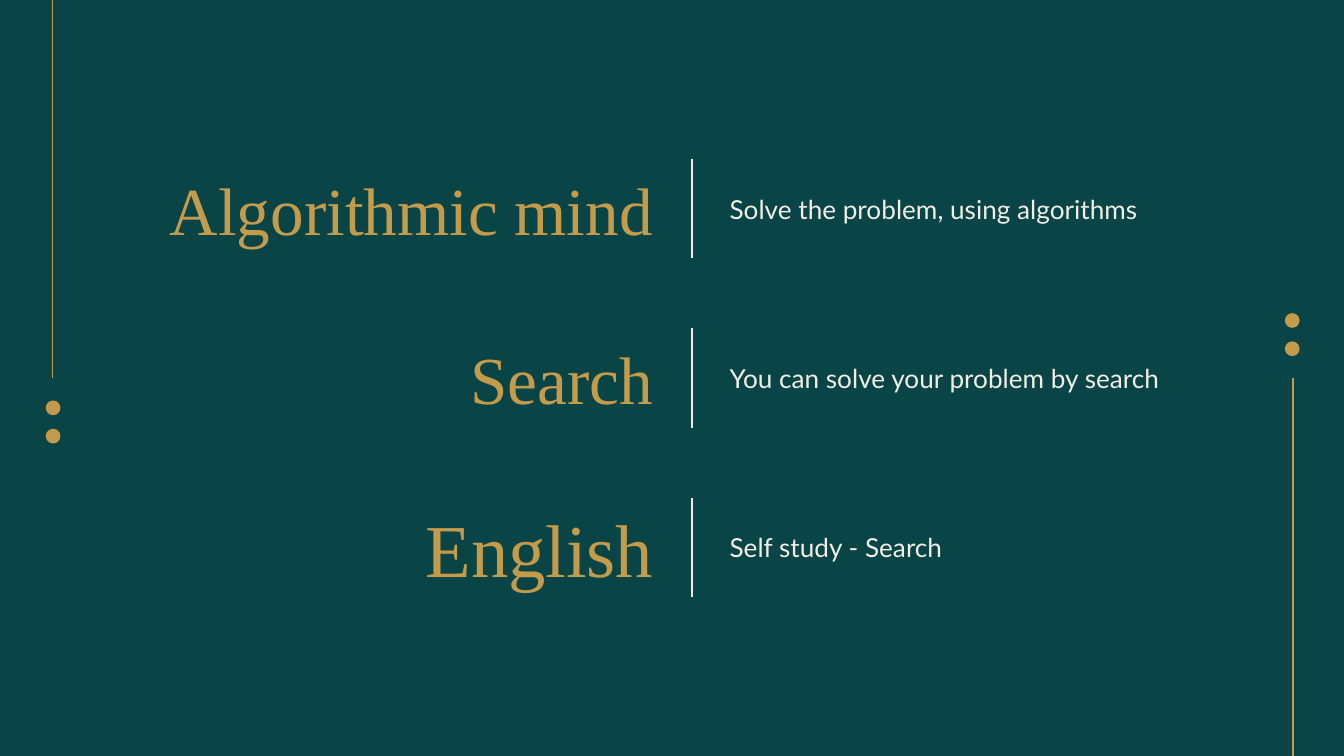
from dataclasses import dataclass

import pptx
import pptx.dml.color
import pptx.enum.shapes
import pptx.enum.text
import pptx.oxml.ns
import pptx.util
from lxml import etree

Inches = pptx.util.Inches
Align = pptx.enum.text.PP_ALIGN


@dataclass(frozen=True)
class Theme:
    background: str = "094446"
    gold: str = "C49B4B"
    cream: str = "F2EEE5"
    heading_font: str = "Times New Roman"
    body_font: str = "Lato"
    heading_size: int = 36
    large_heading_size: int = 40
    body_size: int = 14
    line_width: float = 0.75


THEME = Theme()
SLIDE_WIDTH = 10
SLIDE_HEIGHT = SLIDE_WIDTH * 9 / 16
MIDDLE = SLIDE_HEIGHT / 2
ROW_PITCH = 1.26
HEADING_RIGHT, HEADING_HEIGHT = 4.96, 0.84
DIVIDER_X, DIVIDER_HEIGHT = 5.15, 0.74
BODY_LEFT, BODY_WIDTH, BODY_HEIGHT = 5.33, 3.82, 0.43
DOT_SIZE, DOT_PITCH = 0.11, 0.21

ROWS = [
    ("Algorithmic mind", 4.97, THEME.heading_size, "Solve the problem, using algorithms"),
    ("Search", 3.82, THEME.heading_size, "You can solve your problem by search"),
    ("English", 3.82, THEME.large_heading_size, "Self study - Search"),
]


def rgb(color):
    return pptx.dml.color.RGBColor.from_string(color)


def add_line(slide, x, top, bottom, color):
    line = slide.shapes.add_connector(
        pptx.enum.shapes.MSO_CONNECTOR.STRAIGHT,
        Inches(x), Inches(top), Inches(x), Inches(bottom))
    line.line.color.rgb = rgb(color)
    line.line.width = pptx.util.Pt(THEME.line_width)
    properties = line._element.spPr
    etree.SubElement(properties, pptx.oxml.ns.qn("a:effectLst"))


def add_dot_pair(slide, left, top):
    for index in range(2):
        dot = slide.shapes.add_shape(
            pptx.enum.shapes.MSO_SHAPE.OVAL, Inches(left),
            Inches(top + index * DOT_PITCH), Inches(DOT_SIZE), Inches(DOT_SIZE))
        dot.shadow.inherit = False
        dot.fill.solid()
        dot.fill.fore_color.rgb = rgb(THEME.gold)
        dot.line.fill.background()


def add_text_box(slide):
    return slide.shapes.add_textbox(0, 0, 0, 0)


def write_text(shape, text, left, center, width, height, font, size, color, alignment):
    shape.left, shape.top = Inches(left), Inches(center - height / 2)
    shape.width, shape.height = Inches(width), Inches(height)
    frame = shape.text_frame
    frame.word_wrap = True
    frame.auto_size = pptx.enum.text.MSO_AUTO_SIZE.NONE
    frame.vertical_anchor = pptx.enum.text.MSO_ANCHOR.MIDDLE
    frame.margin_left = frame.margin_right = Inches(0.1)
    frame.margin_top = frame.margin_bottom = Inches(0.1)
    paragraph = frame.paragraphs[0]
    paragraph.alignment = alignment
    run = paragraph.add_run()
    run.text = text
    run.font.name = font
    run.font.size = pptx.util.Pt(size)
    run.font.color.rgb = rgb(color)


def add_row(slide, heading_shape, center, heading, heading_width, heading_size, body):
    write_text(heading_shape, heading, HEADING_RIGHT - heading_width, center,
               heading_width, HEADING_HEIGHT, THEME.heading_font, heading_size,
               THEME.gold, Align.RIGHT)
    write_text(add_text_box(slide), body, BODY_LEFT, center, BODY_WIDTH, BODY_HEIGHT,
               THEME.body_font, THEME.body_size, THEME.cream, Align.LEFT)
    add_line(slide, DIVIDER_X, center - DIVIDER_HEIGHT / 2,
             center + DIVIDER_HEIGHT / 2, THEME.cream)


def main():
    presentation = pptx.Presentation()
    presentation.slide_width = Inches(SLIDE_WIDTH)
    presentation.slide_height = Inches(SLIDE_HEIGHT)
    slide = presentation.slides.add_slide(presentation.slide_layouts[5])
    slide.background.fill.solid()
    slide.background.fill.fore_color.rgb = rgb(THEME.background)

    add_line(slide, 0.39, 0, MIDDLE, THEME.gold)
    add_line(slide, 9.62, MIDDLE, SLIDE_HEIGHT, THEME.gold)
    add_dot_pair(slide, 0.34, 2.98)
    add_dot_pair(slide, 9.56, 2.33)

    for index, row in enumerate(ROWS):
        heading_shape = slide.shapes.title if index == 0 else add_text_box(slide)
        add_row(slide, heading_shape, MIDDLE + (index - 1) * ROW_PITCH, *row)

    presentation.save("out.pptx")


if __name__ == "__main__":
    main()
